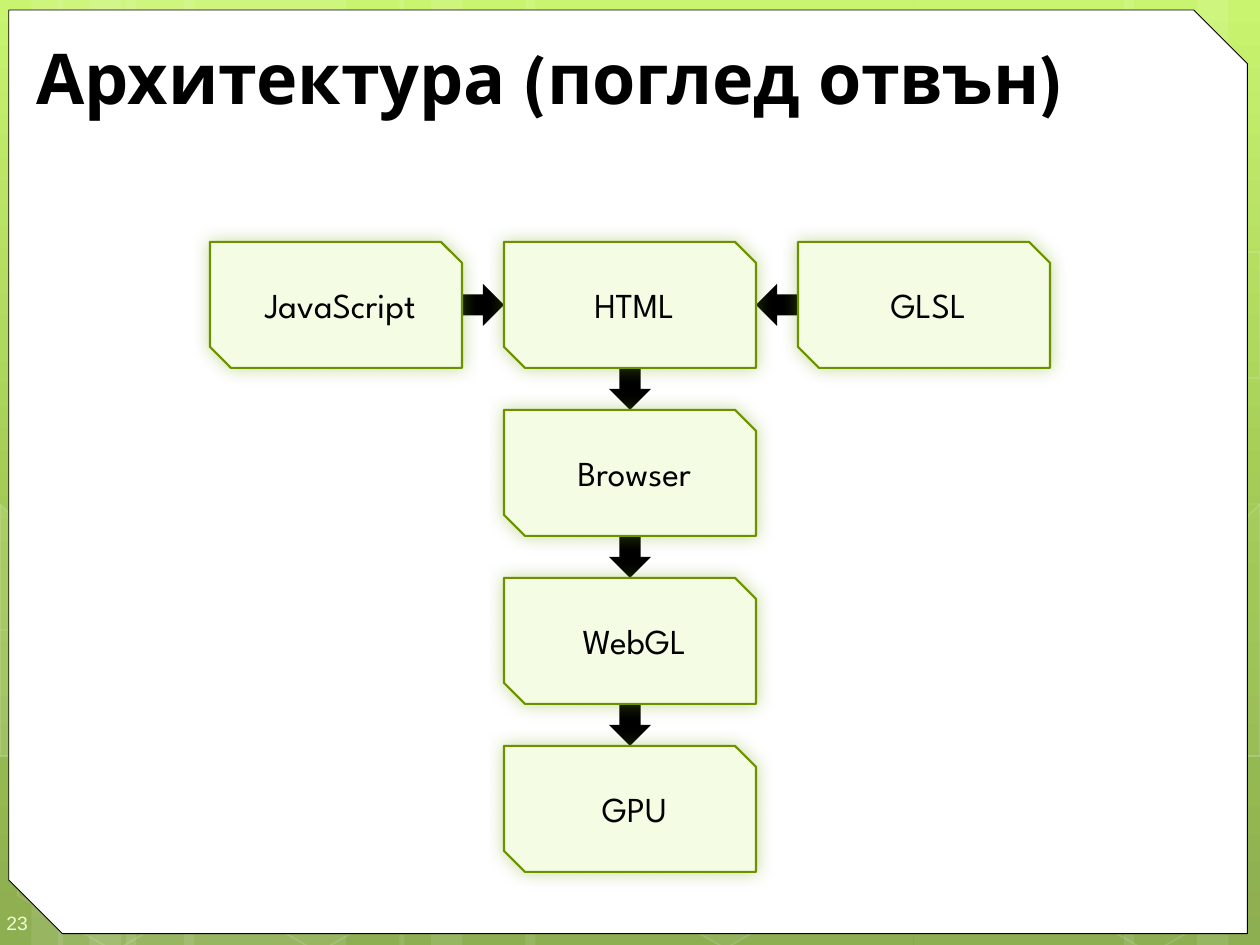
from copy import deepcopy

from lxml.etree import SubElement
from pptx import Presentation
from pptx.dml.color import RGBColor
from pptx.enum.shapes import MSO_SHAPE
from pptx.enum.text import MSO_ANCHOR, MSO_AUTO_SIZE, PP_ALIGN
from pptx.oxml.ns import qn
from pptx.util import Inches, Pt

COLOURS = {
    "white": "FFFFFF", "black": "000000", "number": "EEFFD6",
    "box": "F4FCE4", "edge": "6D9200", "glow": "74A510",
    "top": "C3F35F", "middle": "93BF3F", "bottom": "81A53E",
}
FONT = "League Spartan"
WIDTH, HEIGHT = 10, 7.5

# Left edge and width of the pale vertical bands
BANDS = [(1, 1.75), (0, 0.5), (0.25, 0.83), (1.46, 1.75), (0.46, 0.5), (0.71, 0.83),
         (7.25, 1.75), (9.5, 0.5), (8.92, 0.83), (4.17, 3.08), (3.17, 0.5), (3.42, 0.83)]
# Left, top and fill opacity of the hexagons that reach the border
HEXAGONS = [(4.88, 5.89, 6), (0.03, 5.91, 0), (1.65, 5.92, 0), (8.26, 5.93, 0)]
# Fill opacity and corners of the hexagons cut by the page edge
CUT_HEXAGONS = [
    (10, [(0, 4.45), (0.11, 4.38), (0.87, 4.82), (0.87, 5.7), (0.12, 6.14), (0, 6.07)]),
    (4, [(9.18, 4.85), (9.93, 4.41), (10, 4.46), (10, 6.13), (9.94, 6.17), (9.17, 5.73)]),
    (0, [(9.18, 2.07), (9.93, 1.63), (10, 1.68), (10, 3.35), (9.94, 3.39), (9.17, 2.95)]),
]
# Control points of the sweeping lines that reach the border
CURVES = [
    [(0, 6.17), (1.18, 6.72), (2.39, 7.27), (3.26, 7.49)],
    [(2.34, 7.49), (2.52, 7.29), (2.69, 7.09), (2.94, 6.91)],
    [(7.83, 6.17), (8.75, 5.98), (9.69, 5.68), (9.99, 5.51)],
    [(6.46, 3.87), (7.56, 3.95), (9.39, 4.26), (9.99, 4.34)],
    [(0, 4.77), (0.28, 4.61), (0.56, 4.46), (1.13, 4.31)],
]
# Name, column and row of each part; then the gaps' arrows as column, row, angle
PARTS = [("JavaScript", 0, 0), ("HTML", 1, 0), ("GLSL", 2, 0),
         ("Browser", 1, 1), ("WebGL", 1, 2), ("GPU", 1, 3)]
ARROWS = [(0.5, 0, 0), (1.5, 0, 180), (1, 0.5, 90), (1, 1.5, 90), (1, 2.5, 90)]


def rgb(name):
    return RGBColor.from_string(COLOURS[name])


def set_alpha(fill_parent, percent):
    colour = fill_parent.find(qn("a:solidFill")).find(qn("a:srgbClr"))
    SubElement(colour, qn("a:alpha"), val=str(percent * 1000))


def paint(shape, fill=None, fill_alpha=100, line=None, line_width=1, line_alpha=100):
    shape.shadow.inherit = False
    properties = shape._element.spPr
    if fill and fill_alpha:
        shape.fill.solid()
        shape.fill.fore_color.rgb = rgb(fill)
        set_alpha(properties, fill_alpha)
    else:
        shape.fill.background()
    if line:
        shape.line.color.rgb = rgb(line)
        shape.line.width = Pt(line_width)
        set_alpha(properties.find(qn("a:ln")), line_alpha)
    else:
        shape.line.fill.background()


def add_preset(page, kind, box, **look):
    shape = page.shapes.add_shape(kind, *map(Inches, box))
    paint(shape, **look)
    return shape


def add_outline(page, points, closed, **look):
    builder = page.shapes.build_freeform(*points[0], scale=Inches(1))
    builder.add_line_segments(points[1:], close=closed)
    paint(builder.convert_to_shape(), **look)


def write(frame, text, size, colour, font=FONT, bold=False, align=PP_ALIGN.LEFT,
          insets=(0.1, 0.05, 0.1, 0.05), wrap=True):
    frame.margin_left, frame.margin_top, frame.margin_right, frame.margin_bottom = map(
        Inches, insets)
    frame.vertical_anchor = MSO_ANCHOR.MIDDLE
    frame.auto_size = MSO_AUTO_SIZE.NONE
    frame.word_wrap = wrap
    para = frame.paragraphs[0]
    para.alignment = align
    span = para.add_run()
    span.text = text
    span.font.name, span.font.size, span.font.bold = font, Pt(size), bold
    span.font.color.rgb = rgb(colour)
    return para


def bezier(points, steps=16):
    """Sample a cubic curve given by four control points."""
    start, first, second, end = points
    return [tuple((1 - t) ** 3 * a + 3 * (1 - t) ** 2 * t * b
                  + 3 * (1 - t) * t ** 2 * c + t ** 3 * d
                  for a, b, c, d in zip(start, first, second, end))
            for t in (step / steps for step in range(steps + 1))]


def add_backdrop(page):
    fill = page.background.fill
    fill.gradient()
    fill.gradient_angle = 270
    first = page._element.find(".//" + qn("a:gs"))
    first.addnext(deepcopy(first))
    for stop, position, name in zip(fill.gradient_stops, (0, 0.62, 1),
                                    ("top", "middle", "bottom")):
        stop.position = position
        stop.color.rgb = rgb(name)
    for left, width in BANDS:
        add_preset(page, MSO_SHAPE.RECTANGLE, (left, 0, width, HEIGHT),
                   fill="white", fill_alpha=10)
    for curve in CURVES:
        add_outline(page, bezier(curve), False, line="white", line_width=0.5, line_alpha=20)
    for left, top, alpha in HEXAGONS:
        hexagon = add_preset(page, MSO_SHAPE.HEXAGON, (left, top, 1.75, 1.52),
                             fill="white", fill_alpha=alpha, line="white", line_alpha=12)
        hexagon.adjustments[0] = 0.285
        hexagon.rotation = 30
    for alpha, corners in CUT_HEXAGONS:
        add_outline(page, corners, True, fill="white", fill_alpha=alpha,
                    line="white", line_alpha=12)


def add_panel(page, box):
    panel = add_preset(page, MSO_SHAPE.SNIP_2_DIAG_RECTANGLE, box,
                       fill="white", line="black", line_width=0.5)
    panel.adjustments[1] = 0.058


def add_page_number(page, box):
    number = page.shapes.add_textbox(*map(Inches, box))
    write(number.text_frame, "23", 11, "number", font="Arial", insets=(0.05, 0.15, 0, 0.1))


def add_title(page, box):
    title = page.shapes.title
    title.left, title.top, title.width, title.height = map(Inches, box)
    write(title.text_frame, "Архитектура (поглед отвън)", 40, "black", bold=True)


def add_glow(shape):
    effects = shape._element.spPr.find(qn("a:effectLst"))
    shadow = SubElement(effects, qn("a:outerShdw"), blurRad=str(Pt(10)), dist="0",
                        dir=str(45 * 60000), algn="ctr", rotWithShape="0")
    colour = SubElement(shadow, qn("a:srgbClr"), val=COLOURS["glow"])
    SubElement(colour, qn("a:alpha"), val="40000")


def add_diagram(page, box):
    """Lay out three columns and four rows, with gaps a third of a row high."""
    left, top, width, height = box
    gap = height / 15
    part_width, part_height = (width - 2 * gap) / 3, (height - 3 * gap) / 4

    def corner(column, row):
        return left + column * (part_width + gap), top + row * (part_height + gap)

    for column, row, angle in ARROWS:
        x, y = corner(column, row)
        arrow = add_preset(page, MSO_SHAPE.RIGHT_ARROW,
                           (x + (part_width - gap) / 2, y + (part_height - gap) / 2, gap, gap),
                           fill="black")
        arrow.rotation = angle
    for name, column, row in PARTS:
        part = add_preset(page, MSO_SHAPE.SNIP_2_DIAG_RECTANGLE,
                          (*corner(column, row), part_width, part_height),
                          fill="box", line="edge", line_width=1.25)
        add_glow(part)
        para = write(part.text_frame, name, 20, "black", align=PP_ALIGN.CENTER,
                     insets=(0, 0.05, 0, 0.05), wrap=False)
        para._p.get_or_add_pPr().set("marL", str(Inches(0.07)))


def main():
    deck = Presentation()
    deck.slide_width, deck.slide_height = Inches(WIDTH), Inches(HEIGHT)
    page = deck.slides.add_slide(deck.slide_layouts[5])
    add_backdrop(page)
    add_panel(page, (0.07, 0.08, 9.83, 7.33))
    add_page_number(page, (0, 7.1, 0.58, 0.4))
    title = page.shapes.title._element
    title.getparent().append(title)
    add_title(page, (0.19, 0.25, 9.47, 0.71))
    add_diagram(page, (WIDTH / 6, 1.92, WIDTH * 2 / 3, 5))
    deck.save("out.pptx")


if __name__ == "__main__":
    main()
